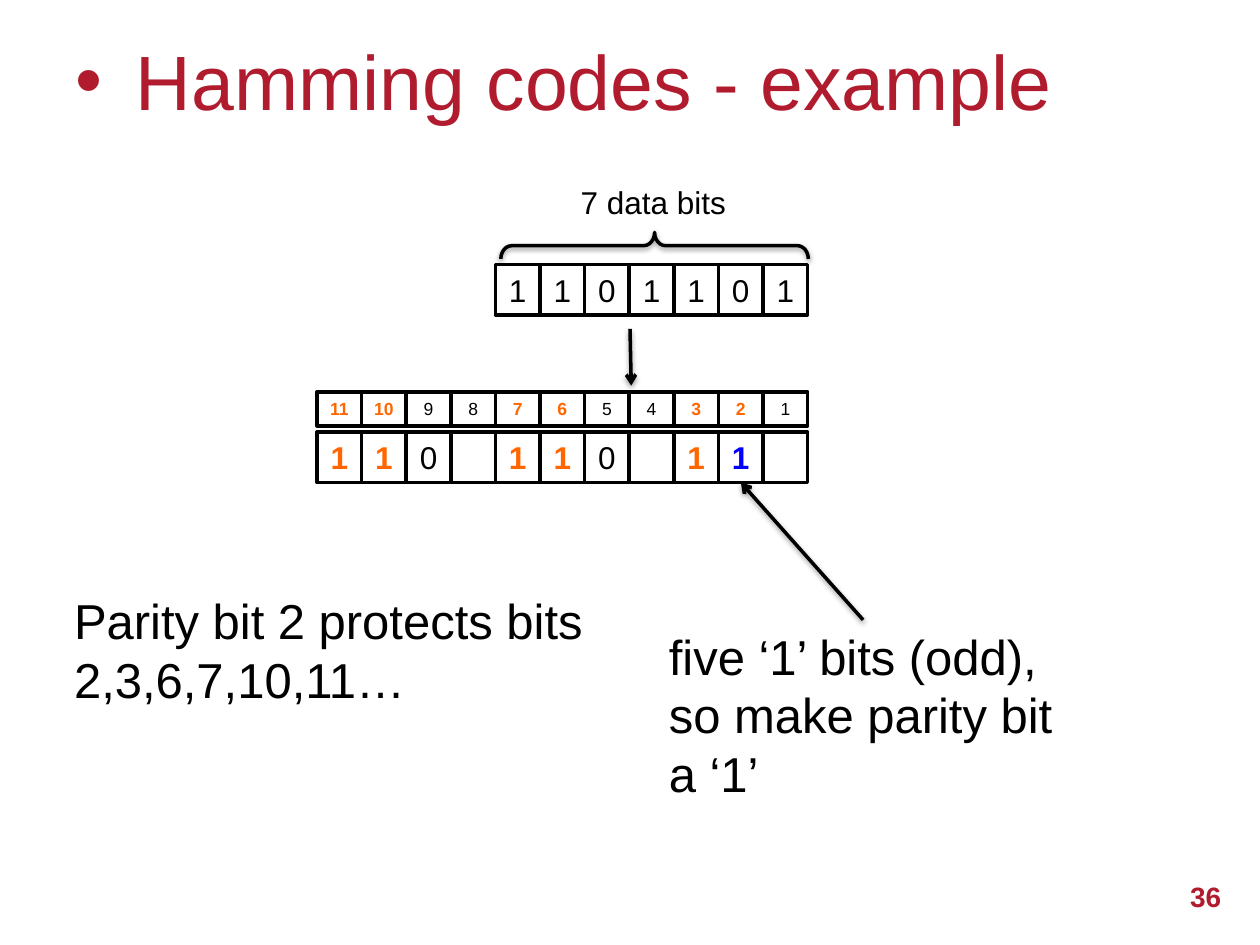
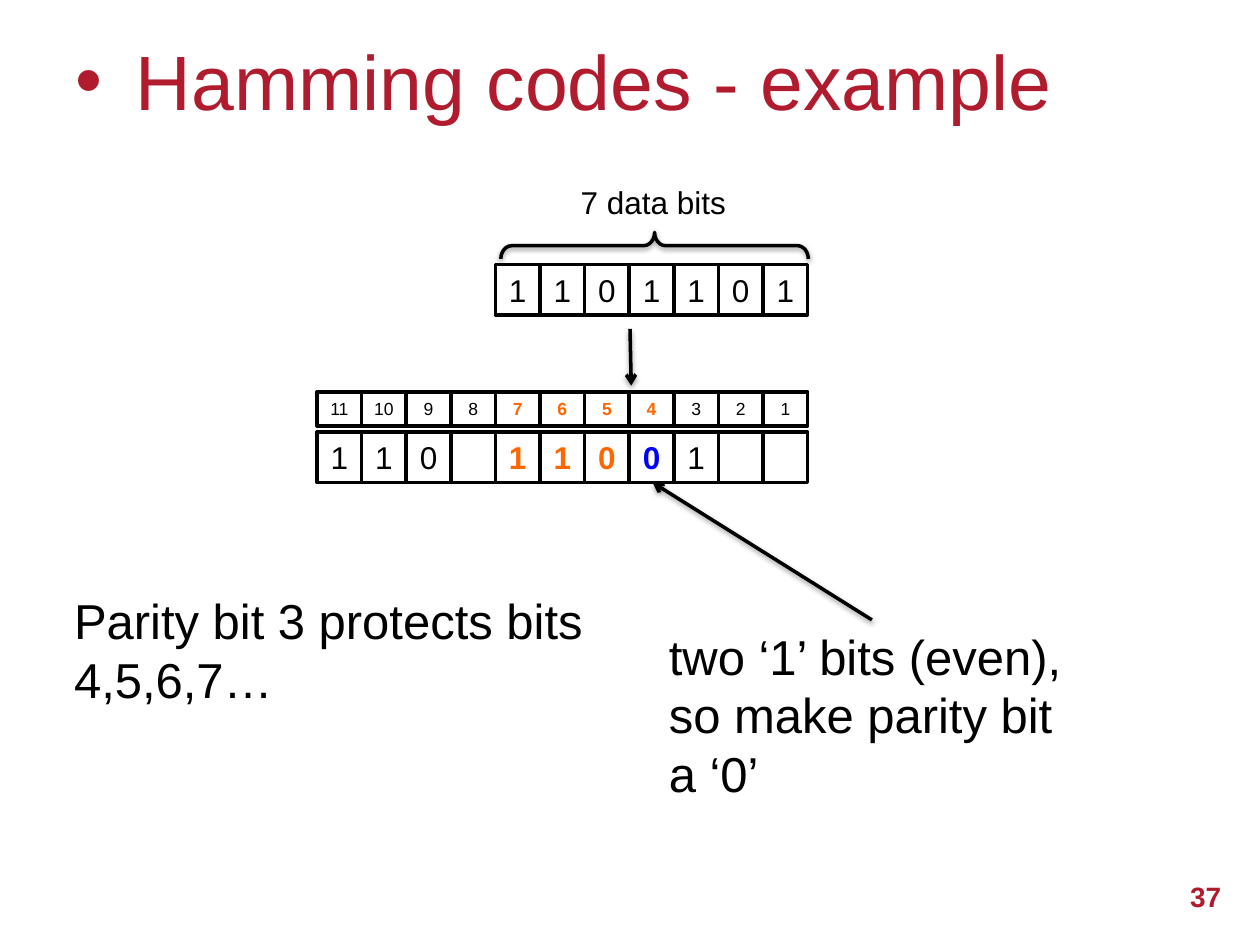
from dataclasses import dataclass

from lxml import etree
from pptx import Presentation
from pptx.dml.color import RGBColor as Rgb
from pptx.enum.shapes import MSO_CONNECTOR as Link, MSO_SHAPE as Form
from pptx.enum.text import MSO_ANCHOR as Anchor, PP_ALIGN as Align
from pptx.oxml.ns import qn
from pptx.util import Inches, Pt


@dataclass(frozen=True)
class Theme:
    font: str = "Arial"
    ink: str = "000000"
    paper: str = "FFFFFF"
    brand: str = "B01C2E"
    mark: str = "FF6600"
    check: str = "0000FF"
    title: int = 44
    body: int = 28
    bit: int = 18
    page: int = 16
    index: int = 10
    line: int = 2


LOOK = Theme()
DATA = "1101101"
SIZE = 11
RIGHT = 6.41
STEP = 3.54 / 10
CASES = [
    (36, 2, "Parity bit 2 protects bits 2,3,6,7,10,11…",
     "five ‘1’ bits (odd), so make parity bit a ‘1’", 3.29, (6.85, 5.88)),
    (37, 4, "Parity bit 3 protects bits 4,5,6,7…",
     "two ‘1’ bits (even), so make parity bit a ‘0’", 3.42, (6.92, 5.18)),
]


def apply(item, values):
    for name, value in values.items():
        setattr(item, name, value)


def add(root, tag, **attrs):
    return etree.SubElement(root, qn(tag), attrs)


def write(shape, text, size, color=LOOK.ink, bold=False,
          align=Align.LEFT, anchor=Anchor.TOP, bullet=False):
    frame = shape.text_frame
    apply(frame, {"word_wrap": True, "vertical_anchor": anchor})
    para = frame.paragraphs[0]
    para.alignment = align
    if bullet:
        props = para._p.get_or_add_pPr()
        props.set("marL", str(Inches(0.48)))
        props.set("indent", str(Inches(-0.48)))
        add(props, "a:buFont", typeface=LOOK.font)
        add(props, "a:buChar", char="•")
    run = para.add_run()
    run.text = text
    apply(run.font, {"name": LOOK.font, "size": Pt(size), "bold": bold})
    run.font.color.rgb = Rgb.from_string(color)


def label(slide, box, text, size, **style):
    shape = slide.shapes.add_textbox(*map(Inches, box))
    write(shape, text, size, **style)


def stroke(shape):
    shape.line.color.rgb = Rgb.from_string(LOOK.ink)
    shape.line.width = Pt(LOOK.line)


def shade(shape):
    props = shape._element.spPr
    glow = add(add(props, "a:effectLst"), "a:outerShdw",
               blurRad=str(Pt(3.1)), dist=str(Pt(1.6)),
               dir="5400000", rotWithShape="0")
    tint = add(glow, "a:srgbClr", val=LOOK.ink)
    add(tint, "a:alpha", val="38000")


def arrow(slide, start, end):
    line = slide.shapes.add_connector(
        Link.STRAIGHT, *map(Inches, (*start, *end)))
    stroke(line)
    add(line._element.spPr.find(qn("a:ln")), "a:tailEnd", type="arrow")
    shade(line)


def brace(slide):
    shape = slide.shapes.add_shape(
        Form.LEFT_BRACE, *map(Inches, (5.09, 0.73, 0.21, 2.44)))
    shape.rotation = 90
    shape.adjustments[0] = 0.41
    shape.fill.background()
    stroke(shape)
    shade(shape)


def row(slide, top, height, size, cells):
    left = RIGHT - len(cells) * STEP
    for col, (text, color) in enumerate(cells):
        box = left + col * STEP, top, STEP, height
        cell = slide.shapes.add_shape(Form.RECTANGLE, *map(Inches, box))
        cell.shadow.inherit = False
        cell.fill.solid()
        cell.fill.fore_color.rgb = Rgb.from_string(LOOK.paper)
        stroke(cell)
        if text:
            apply(cell.text_frame, {"margin_left": 0, "margin_right": 0})
            write(cell, text, size, color, color != LOOK.ink,
                  Align.CENTER, Anchor.MIDDLE)


def encode(parity):
    bits = iter(DATA)
    spots = range(SIZE, 0, -1)
    code = {pos: next(bits) if pos & (pos - 1) else "" for pos in spots}
    ones = sum(code[pos] == "1" for pos in spots if pos & parity)
    code[parity] = str(ones % 2)
    tints = {pos: LOOK.mark if pos & parity else LOOK.ink for pos in spots}
    heads = [(str(pos), tints[pos]) for pos in spots]
    tints[parity] = LOOK.check
    return heads, [(code[pos], tints[pos]) for pos in spots]


def build(deck, page, parity, rule, note, width, tip):
    slide = deck.slides.add_slide(deck.slide_layouts[6])
    label(slide, (0.5, 0.01, 9, 1.25), "Hamming codes - example", LOOK.title,
          color=LOOK.brand, anchor=Anchor.MIDDLE, bullet=True)
    label(slide, (9.02, 6.85, 0.77, 0.52), str(page), LOOK.page,
          color=LOOK.brand, bold=True, align=Align.RIGHT,
          anchor=Anchor.MIDDLE)
    label(slide, (4.51, 1.4, 1.36, 0.4), "7 data bits", LOOK.bit)
    brace(slide)
    row(slide, 2.1, 0.4, LOOK.bit, [(bit, LOOK.ink) for bit in DATA])
    arrow(slide, (5, 2.61), (5.01, 3.06))
    heads, code = encode(parity)
    row(slide, 3.43, 0.4, LOOK.bit, code)
    row(slide, 3.11, 0.27, LOOK.index, heads)
    label(slide, (0.49, 4.64, 4.26, 1.04), rule, LOOK.body)
    label(slide, (5.21, 4.92, width, 1.51), note, LOOK.body)
    arrow(slide, (tip[0], 4.92), (tip[1], 3.83))


def main():
    deck = Presentation()
    apply(deck, {"slide_width": Inches(10), "slide_height": Inches(7.5)})
    for case in CASES:
        build(deck, *case)
    deck.save("out.pptx")


if __name__ == "__main__":
    main()
